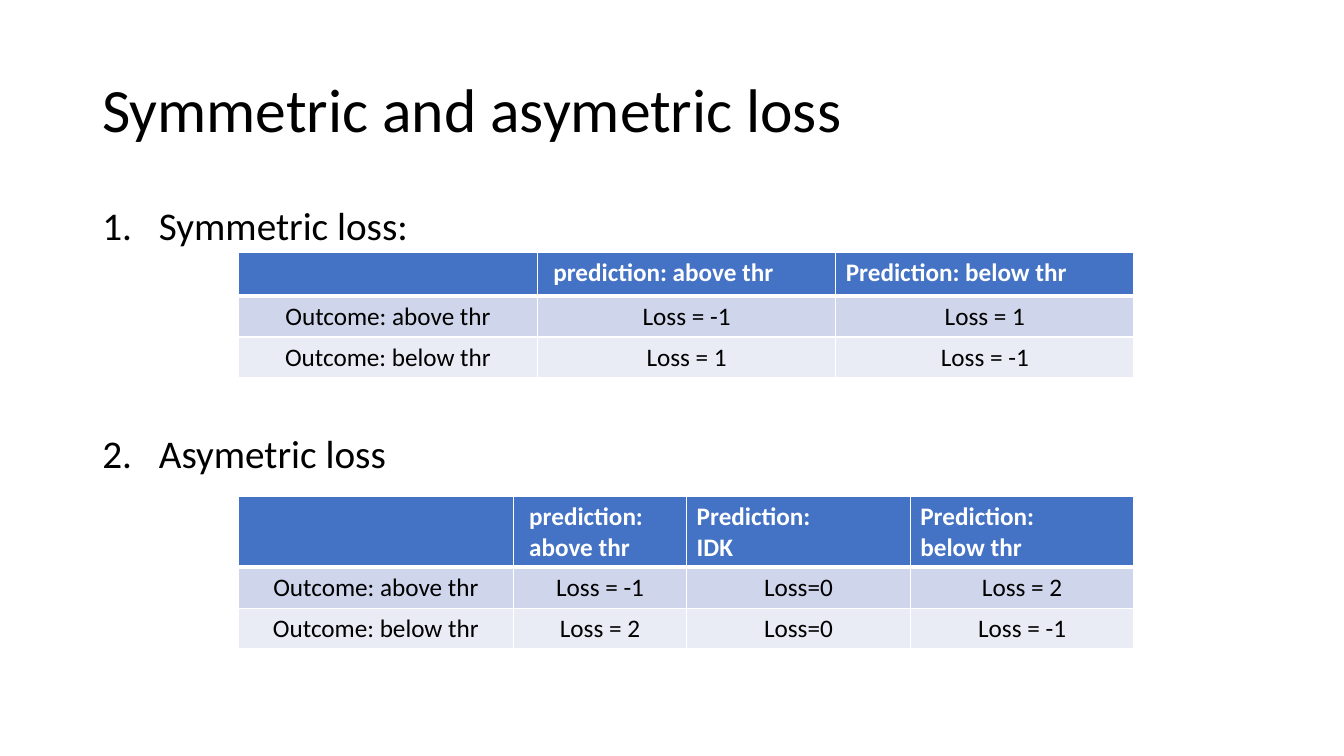
from lxml import etree
from pptx import Presentation
from pptx.dml.color import RGBColor
from pptx.enum.text import MSO_ANCHOR, PP_ALIGN
from pptx.oxml.ns import qn
from pptx.util import Emu, Pt

CENTER, LEFT = PP_ALIGN.CENTER, PP_ALIGN.LEFT
TOP, MIDDLE = MSO_ANCHOR.TOP, MSO_ANCHOR.MIDDLE

EMU_PER_PX = 9525
BLACK = RGBColor(0x00, 0x00, 0x00)
WHITE = RGBColor(0xFF, 0xFF, 0xFF)
HEADER_BLUE = RGBColor(0x44, 0x72, 0xC4)
BAND_FILLS = (RGBColor(0xCF, 0xD5, 0xEA), RGBColor(0xE9, 0xEB, 0xF5))

TABLE_LEFT = 227
ROW_HEIGHT = 39


def px(length):
    return Emu(length * EMU_PER_PX)


class SlideBuilder:
    font_name = "Calibri"
    line_spacing = 0.9
    list_indent = 54
    table_text_size = 18

    def __init__(self, slide):
        self.slide = slide

    def format_runs(self, paragraph, size, color, bold=False):
        for run in paragraph.runs:
            run.font.name = self.font_name
            run.font.size = Pt(size)
            run.font.bold = bold
            run.font.color.rgb = color

    def text(self, left, top, width, height, text, size, anchor=TOP):
        box = self.slide.shapes.add_textbox(px(left), px(top), px(width), px(height))
        text_frame = box.text_frame
        text_frame.word_wrap = True
        text_frame.vertical_anchor = anchor
        text_frame.text = text
        for paragraph in text_frame.paragraphs:
            paragraph.line_spacing = self.line_spacing
            self.format_runs(paragraph, size, BLACK)
        return text_frame

    def numbered_list(self, left, top, width, height, items, size):
        """Each item is a text and the space before it in points."""
        texts = [text for text, _ in items]
        text_frame = self.text(left, top, width, height, "\n".join(texts), size)
        for paragraph, (_, space_before) in zip(text_frame.paragraphs, items):
            paragraph.space_before = Pt(space_before)
            properties = paragraph._p.get_or_add_pPr()
            properties.set("marL", str(px(self.list_indent)))
            properties.set("indent", str(-px(self.list_indent)))
            etree.SubElement(properties, qn("a:buAutoNum"), type="arabicPeriod")

    def cell_borders(self, cell, is_header):
        properties = cell._tc.get_or_add_tcPr()
        for side in "LRTB":
            width = 3 if is_header and side == "B" else 1
            line = etree.SubElement(properties, qn(f"a:ln{side}"), w=str(Pt(width)))
            fill = etree.SubElement(line, qn("a:solidFill"))
            etree.SubElement(fill, qn("a:srgbClr"), val=str(WHITE))

    def table(self, top, column_widths, header_height, rows):
        heights = [header_height] + [ROW_HEIGHT] * (len(rows) - 1)
        table = self.slide.shapes.add_table(
            len(rows), len(column_widths), px(TABLE_LEFT), px(top),
            px(sum(column_widths)), px(sum(heights))).table
        for column, width in zip(table.columns, column_widths):
            column.width = px(width)
        for row_index, (row, height, texts) in enumerate(zip(table.rows, heights, rows)):
            row.height = px(height)
            is_header = row_index == 0
            for cell, text in zip(row.cells, texts):
                self.cell_borders(cell, is_header)
                cell.fill.solid()
                cell.fill.fore_color.rgb = (
                    HEADER_BLUE if is_header else BAND_FILLS[(row_index - 1) % 2])
                cell.text = text
                for paragraph in cell.text_frame.paragraphs:
                    paragraph.alignment = LEFT if is_header else CENTER
                    self.format_runs(paragraph, self.table_text_size,
                                     WHITE if is_header else BLACK, is_header)


def main():
    presentation = Presentation()
    presentation.slide_width = px(1280)
    presentation.slide_height = px(720)
    slide = presentation.slides.add_slide(presentation.slide_layouts[6])
    builder = SlideBuilder(slide)

    builder.text(88, 38, 1104, 139, "Symmetric and asymetric loss", 44, MIDDLE)
    builder.numbered_list(88, 192, 1104, 457,
                          [("Symmetric loss:", 10), ("Asymetric loss", 133)], 28)
    builder.table(240, [285, 284, 284], 42, [
        ["", " prediction: above thr", "Prediction: below thr"],
        ["Outcome: above thr", "Loss = -1", "Loss = 1"],
        ["Outcome: below thr", "Loss = 1", "Loss = -1"],
    ])
    builder.table(473, [262, 165, 213, 213], 67, [
        ["", " prediction:\v above thr", "Prediction:\nIDK", "Prediction:\vbelow thr"],
        ["Outcome: above thr", "Loss = -1", "Loss=0", "Loss = 2"],
        ["Outcome: below thr", "Loss = 2", "Loss=0", "Loss = -1"],
    ])
    presentation.save("out.pptx")


if __name__ == "__main__":
    main()
